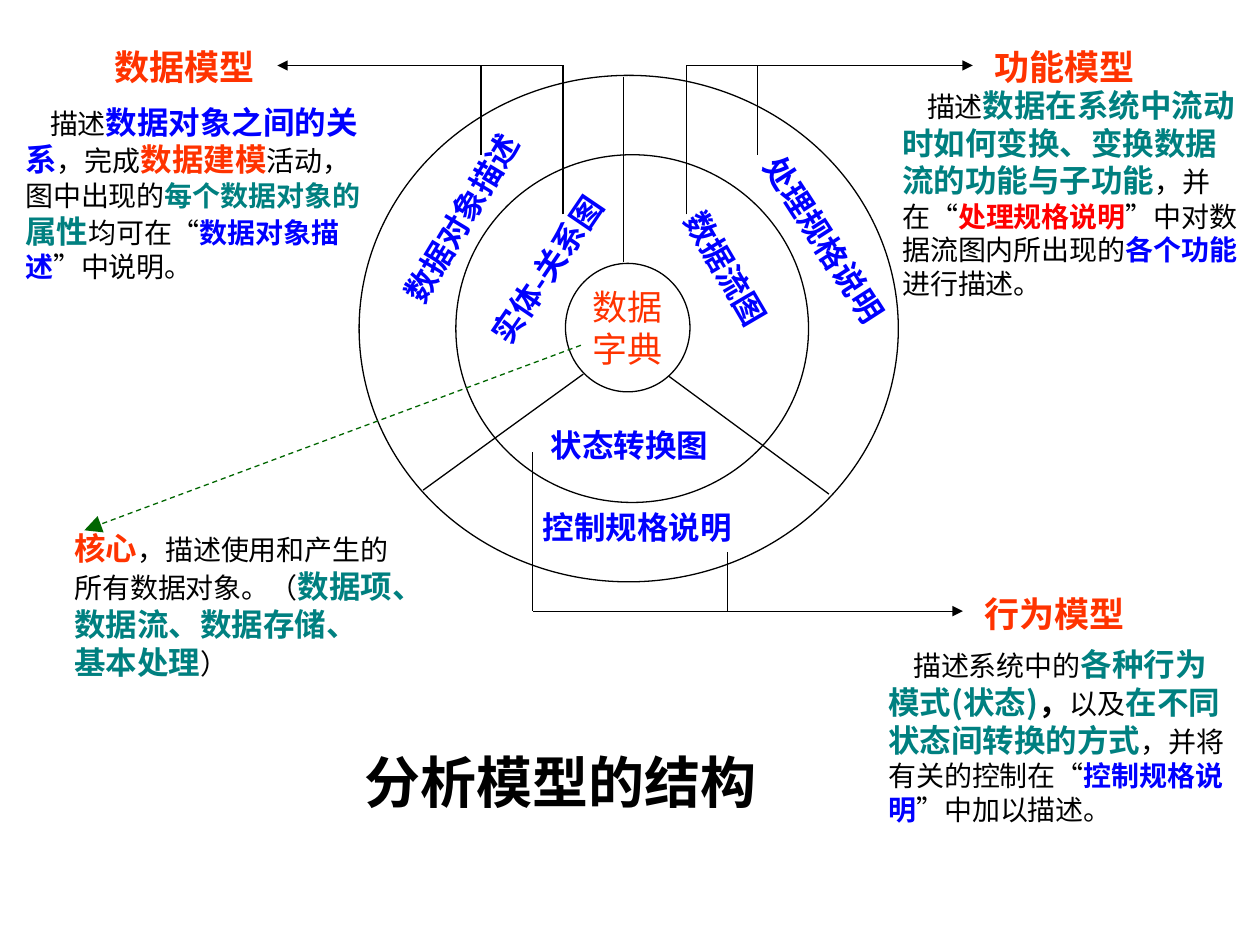
from dataclasses import dataclass
from typing import NamedTuple

from lxml.etree import SubElement
from pptx import Presentation
from pptx.dml.color import RGBColor
from pptx.enum.dml import MSO_LINE
from pptx.enum.shapes import MSO_CONNECTOR, MSO_SHAPE
from pptx.enum.text import MSO_ANCHOR as Anchor, MSO_AUTO_SIZE as AutoSize, PP_ALIGN as Align
from pptx.oxml.ns import qn
from pptx.util import Cm, Pt

SANS, CORE_FONT = "Noto Sans CJK SC", "DejaVu Sans"
BLACK, BLUE, TEAL = "000000", "0000FF", "008080"
ORANGE, RED, GREEN = "FF3300", "FF0000", "006600"
LABEL_HEIGHT = 0.76
HEADING_HEIGHT = 0.84


class Box(NamedTuple):
    left: float
    top: float
    width: float
    height: float


class Point(NamedTuple):
    x: float
    y: float


class Run(NamedTuple):
    text: str
    color: str = BLACK
    size: int = 16
    bold: bool = False


@dataclass
class RingLabel:
    text: str
    left: float
    top: float
    width: float
    angle: float = 0


@dataclass
class Model:
    name: str
    heading: Point
    rail_y: float
    arrow_from: float
    arrow_to: float
    stems: list[Point]
    body: Box
    runs: list[Run]


def key(text: str, color: str, size: int = 18) -> Run:
    return Run(text, color, size, True)


def rgb(color: str) -> RGBColor:
    return RGBColor.from_string(color)


def write(frame, paragraphs: list[list[Run]], *, font: str = SANS, align=Align.LEFT,
          anchor=Anchor.TOP, wrap: bool = True, grow: bool = True,
          inset: bool = False, indent: float = 0) -> None:
    frame.word_wrap = wrap
    frame.auto_size = AutoSize.SHAPE_TO_FIT_TEXT if grow else AutoSize.NONE
    frame.vertical_anchor = anchor
    if not inset:
        frame.margin_left = frame.margin_right = frame.margin_top = frame.margin_bottom = 0
    for index, runs in enumerate(paragraphs):
        paragraph = frame.add_paragraph() if index else frame.paragraphs[0]
        paragraph.alignment = align
        if indent:
            paragraph._p.get_or_add_pPr().set("indent", str(Cm(indent)))
        for text, color, size, bold in runs:
            run = paragraph.add_run()
            run.text = text
            run.font.size = Pt(size)
            run.font.bold = bold
            run.font.color.rgb = rgb(color)
            run.font.name = font
            SubElement(run.font._element, qn("a:ea"), typeface=font)


def add_text(slide, box: Box, paragraphs: list[list[Run]], *, angle: float = 0, **text_format):
    textbox = slide.shapes.add_textbox(*map(Cm, box))
    textbox.rotation = angle
    write(textbox.text_frame, paragraphs, **text_format)


def add_ring(slide, box: Box):
    ring = slide.shapes.add_shape(MSO_SHAPE.FLOWCHART_CONNECTOR, *map(Cm, box))
    ring.shadow.inherit = False
    ring.fill.background()
    ring.line.color.rgb = rgb(BLACK)
    ring.line.width = Pt(0.75)
    return ring


def add_line(slide, start: Point, end: Point, *, color: str = BLACK,
             arrow: str = "", dashed: bool = False) -> None:
    line = slide.shapes.add_connector(MSO_CONNECTOR.STRAIGHT, *map(Cm, (*start, *end)))
    line.line.color.rgb = rgb(color)
    line.line.width = Pt(0.75)
    if dashed:
        line.line.dash_style = MSO_LINE.DASH
    if arrow:
        SubElement(line.line._get_or_add_ln(), qn("a:tailEnd"),
                   type="triangle", w=arrow, len=arrow)
    SubElement(line._element.spPr, qn("a:effectLst"))


def add_model(slide, model: Model) -> None:
    add_text(slide, Box(*model.heading, 2.9, HEADING_HEIGHT),
             [[key(model.name, ORANGE, 20)]], align=Align.CENTER)
    add_line(slide, Point(model.arrow_from, model.rail_y),
             Point(model.arrow_to, model.rail_y), arrow="med")
    for stem in model.stems:
        add_line(slide, stem, Point(stem.x, model.rail_y))
    add_text(slide, model.body, [model.runs], anchor=Anchor.MIDDLE, indent=0.5)


RINGS = [Box(7.24, 1.52, 10.87, 10.21), Box(9.19, 3.12, 7.11, 7.01)]
DICTIONARY = Box(11.4, 5.31, 2.51, 2.59)
RING_LABELS = [
    RingLabel("实体-关系图", 8.74, 5.05, 4.57, 304.2),
    RingLabel("数据流图", 13.23, 5.03, 2.82, 59.6),
    RingLabel("状态转换图", 11.07, 8.59, 3.25),
    RingLabel("数据对象描述", 7.21, 4.01, 4.17, 301.1),
    RingLabel("处理规格说明", 14.5, 4.45, 4.24, 57.3),
    RingLabel("控制规格说明", 10.92, 10.24, 3.86),
]
DIVIDERS = [
    (Point(12.57, 1.55), Point(12.57, 5.28)),
    (Point(8.53, 9.88), Point(11.76, 7.54)),
    (Point(13.49, 7.59), Point(16.71, 9.96)),
]
MODELS = [
    Model("行为模型", Point(19.81, 11.94), 12.32, 10.74, 19.41,
          [Point(14.66, 11.13), Point(10.74, 9.12)], Box(17.91, 13, 7.01, 3.66),
          [Run("描述系统中的"), key("各种行为模式(状态)", TEAL), key("，", BLACK),
           Run("以及"), key("在不同状态间转换的方式", TEAL), Run("，并将有关的控制在“"),
           key("控制规格说明", BLUE, 16), Run("”中加以描述。")]),
    Model("数据模型", Point(2.28, 0.91), 1.32, 11.35, 5.59,
          [Point(11.35, 4.32), Point(9.7, 3.12)], Box(0.51, 2.06, 7.01, 3.66),
          [Run("描述"), key("数据对象之间的关系", BLUE), Run("，完成"),
           key("数据建模", ORANGE), Run("活动，图中出现的"),
           key("每个数据对象的", TEAL, 16), key("属性", TEAL), Run("均可在“"),
           key("数据对象描述", BLUE, 16), Run("”中说明。")]),
    Model("功能模型", Point(20.02, 0.91), 1.32, 13.84, 19.61,
          [Point(13.84, 4.32), Point(15.27, 3.12)], Box(18.19, 1.73, 6.91, 4.32),
          [Run("描述"), key("数据在系统中流动时如何变换、变换数据流的功能与子功能", TEAL),
           Run("，并在“"), key("处理规格说明", RED, 16), Run("”中对数据流图内所出现的"),
           key("各个功能", BLUE, 16), Run("进行描述。")]),
]
CORE = [
    [key("核心", ORANGE), Run("，描述使用和产生的")],
    [Run("所有数据对象。（"), key("数据项、", TEAL)],
    [key("数据流、数据存储、", TEAL)],
    [key("基本处理", TEAL), Run("）")],
]


def main() -> None:
    deck = Presentation()
    deck.slide_width, deck.slide_height = Cm(25.4), Cm(19.05)
    slide = deck.slides.add_slide(deck.slide_layouts[6])

    for ring in RINGS:
        add_ring(slide, ring)
    dictionary = add_ring(slide, DICTIONARY)
    write(dictionary.text_frame, [[Run(word, ORANGE, 20)] for word in ("数据", "字典")],
          align=Align.CENTER, anchor=Anchor.MIDDLE, wrap=False, grow=False)
    for label in RING_LABELS:
        add_text(slide, Box(label.left, label.top, label.width, LABEL_HEIGHT),
                 [[key(label.text, BLUE)]], angle=label.angle, align=Align.CENTER)
    for start, end in DIVIDERS:
        add_line(slide, start, end)
    for model in MODELS:
        add_model(slide, model)

    add_text(slide, Box(6.48, 14.94, 9.63, 1.6), [[key("分析模型的结构", BLACK, 32)]],
             align=Align.CENTER, inset=True)
    add_line(slide, Point(11.71, 6.96), Point(1.7, 10.69),
             color=GREEN, arrow="lg", dashed=True)
    add_text(slide, Box(1.5, 10.9, 6.6, 2.59), CORE, font=CORE_FONT,
             anchor=Anchor.MIDDLE, wrap=False, grow=False)
    deck.save("out.pptx")


if __name__ == "__main__":
    main()
